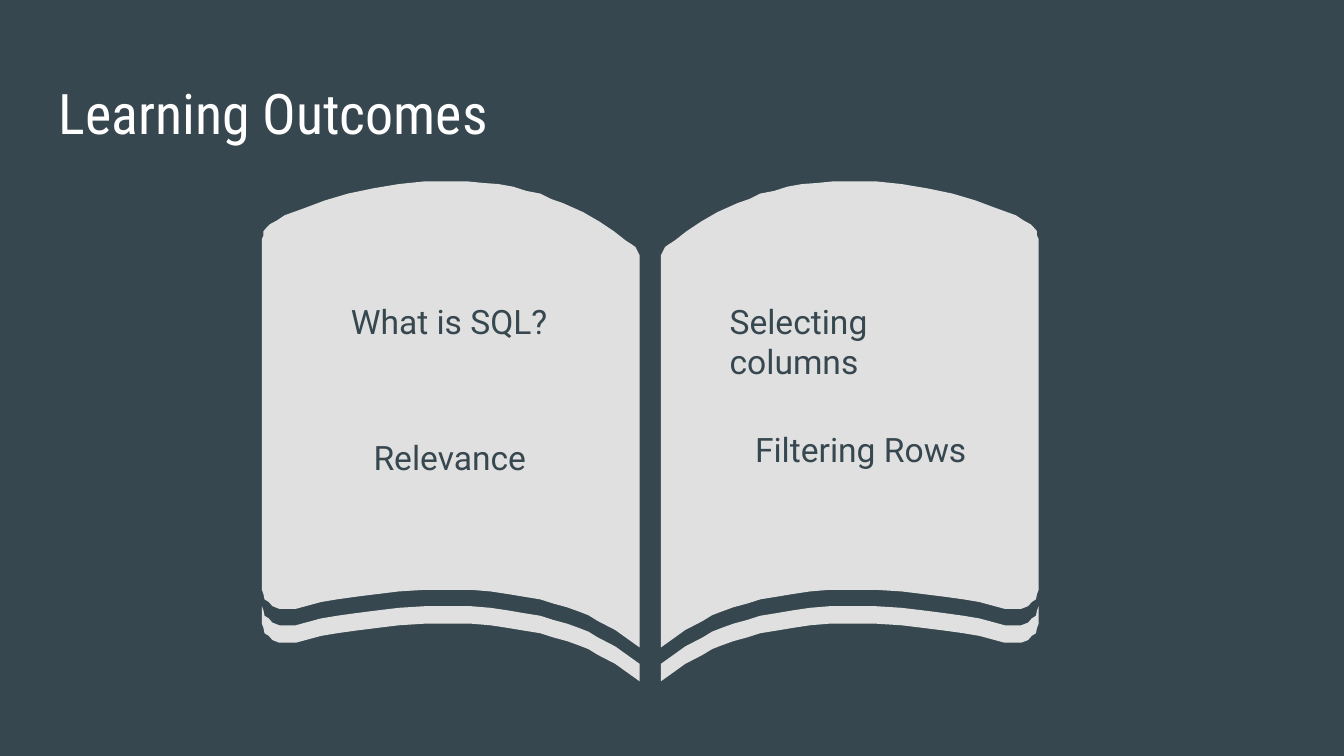
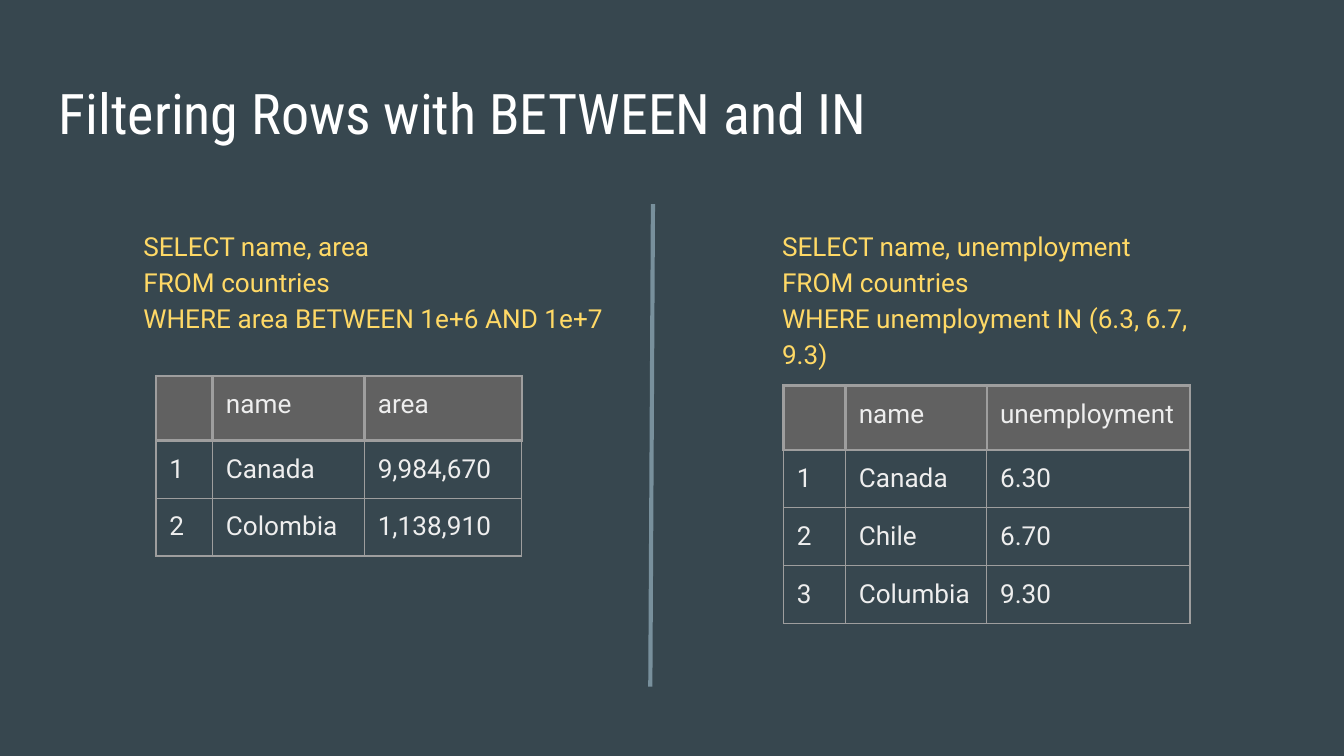
from dataclasses import dataclass

from lxml.etree import SubElement
from pptx import Presentation
from pptx.dml.color import RGBColor
from pptx.enum.shapes import MSO_CONNECTOR
from pptx.enum.text import MSO_ANCHOR, MSO_AUTO_SIZE, PP_ALIGN
from pptx.oxml.ns import qn
from pptx.util import Cm, Pt


@dataclass(frozen=True)
class Theme:
    background: str = "37474F"
    title: str = "FFFFFF"
    paper: str = "E0E0E0"
    code: str = "FFD966"
    divider: str = "78909C"
    header: str = "616161"
    border: str = "9E9E9E"
    cell: str = "EEEEEE"
    title_font: str = "Roboto Condensed"
    body_font: str = "Roboto"
    title_size: int = 30
    topic_size: int = 18
    code_size: int = 14
    inset: float = 0.25
    thick: float = 1.5
    thin: float = 0.75
    divider_width: float = 2.25


THEME = Theme()

# All positions and sizes are in centimetres.
OUTCOMES_TITLE = ("Learning Outcomes", 23.67)
TOPICS = [
    ("Selecting columns", (13.54, 5.44, 5.49, 1.32)),
    ("Filtering Rows", (14.02, 7.85, 4.52, 1.5)),
    ("What is SQL?", (6.38, 5.44, 5.49, 1.32)),
    ("Relevance", (6.81, 8.0, 4.06, 1.32)),
]

FILTER_TITLE = ("Filtering Rows with BETWEEN and IN", 18.14)
QUERIES = [
    {
        "lines": ["SELECT name, area", "FROM countries",
                  "WHERE area BETWEEN 1e+6 AND 1e+7"],
        "box": (2.46, 4.01, 9.42, 3.28),
        "table_at": (2.95, 7.11),
        "columns": [1.07, 2.87, 2.97],
        "rows": [["", "name", "area"],
                 ["1", "Canada", "9,984,670"],
                 ["2", "Colombia", "1,138,910"]],
    },
    {
        "lines": ["SELECT name, unemployment", "FROM countries",
                  "WHERE unemployment IN (6.3, 6.7, 9.3)"],
        "box": (14.53, 4.01, 9.04, 2.57),
        "table_at": (14.81, 7.29),
        "columns": [1.17, 2.67, 3.84],
        "rows": [["", "name", "unemployment"],
                 ["1", "Canada", "6.30"],
                 ["2", "Chile", "6.70"],
                 ["3", "Columbia", "9.30"]],
    },
]
HEADER_HEIGHT, ROW_HEIGHT = 1.22, 1.09
DIVIDER = (12.29, 12.98, 12.34, 3.86)

# Left page of the book, measured from its top left corner.
PAGE_LEFT, PAGE_TOP, BOOK_AXIS = 4.95, 3.43, 12.29
SHEET_OFFSETS = (0.31, 0.64)
TOP_EDGE = [  # from the spine outwards
    (7.14, 1.45), (7.14, 1.4), (7.09, 1.3), (7.06, 1.24), (6.99, 1.19),
    (6.88, 1.12), (6.65, 0.94), (6.38, 0.76), (6.07, 0.58), (5.69, 0.41),
    (5.46, 0.33), (5.26, 0.23), (5.0, 0.18), (4.75, 0.1), (4.47, 0.05),
    (4.19, 0.03), (3.89, 0), (3.58, 0), (3.07, 0), (2.59, 0.05),
    (2.11, 0.13), (1.63, 0.23), (1.19, 0.36), (0.79, 0.51), (0.43, 0.64),
    (0.28, 0.74), (0.15, 0.81), (0.1, 0.86), (0.03, 0.94), (0.03, 1.02),
    (0, 1.09),
]
BOTTOM_EDGE = [  # from the outer side to the spine
    (0, 7.72), (0.03, 7.8), (0.05, 7.9), (0.13, 7.95), (0.2, 8.03),
    (0.33, 8.08), (0.48, 8.08), (0.64, 8.08), (1.12, 7.95), (1.42, 7.9),
    (1.78, 7.85), (2.18, 7.8), (2.59, 7.75), (3.07, 7.72), (3.58, 7.72),
    (3.96, 7.72), (4.32, 7.75), (4.65, 7.8), (4.95, 7.85), (5.26, 7.9),
    (5.51, 7.98), (5.77, 8.05), (5.99, 8.13), (6.17, 8.2), (6.35, 8.31),
    (6.68, 8.48), (6.93, 8.66), (7.14, 8.81),
]


def color(value):
    return RGBColor.from_string(value)


def write(paragraph, text, font, size, text_color):
    run = paragraph.add_run()
    run.text = text
    run.font.name = font
    run.font.size = Pt(size)
    run.font.color.rgb = color(text_color)


def set_frame(frame):
    frame.word_wrap = True
    frame.auto_size = MSO_AUTO_SIZE.NONE
    frame.vertical_anchor = MSO_ANCHOR.TOP
    frame.margin_left = frame.margin_right = Cm(THEME.inset)
    frame.margin_top = frame.margin_bottom = Cm(THEME.inset)


def add_titled_slide(presentation, text, width):
    slide = presentation.slides.add_slide(presentation.slide_layouts[5])
    title = slide.shapes.title
    title.left, title.top = Cm(0.86), Cm(1.24)
    title.width, title.height = Cm(width), Cm(1.6)
    set_frame(title.text_frame)
    paragraph = title.text_frame.paragraphs[0]
    paragraph.alignment = PP_ALIGN.LEFT
    write(paragraph, text, THEME.title_font, THEME.title_size, THEME.title)
    return slide


def add_text(slide, lines, box, size, text_color, line_spacing=None):
    frame = slide.shapes.add_textbox(*map(Cm, box)).text_frame
    set_frame(frame)
    for index, line in enumerate(lines):
        paragraph = frame.add_paragraph() if index else frame.paragraphs[0]
        paragraph.line_spacing = line_spacing
        write(paragraph, line, THEME.body_font, size, text_color)


def lowered(edge, offset):
    return [(x, y + offset) for x, y in edge]


def add_book(slide):
    """Draw both pages and the sheet below them; the right half is mirrored."""
    book = slide.shapes.add_group_shape()
    upper, lower = (lowered(BOTTOM_EDGE, offset) for offset in SHEET_OFFSETS)
    for outline in (lower + upper[::-1], BOTTOM_EDGE + TOP_EDGE):
        left_half = [(PAGE_LEFT + x, PAGE_TOP + y) for x, y in outline]
        right_half = [(2 * BOOK_AXIS - x, y) for x, y in left_half]
        for half in (left_half, right_half):
            points = [(Cm(x), Cm(y)) for x, y in half]
            builder = book.shapes.build_freeform(*points[0])
            builder.add_line_segments(points[1:], close=True)
            shape = builder.convert_to_shape()
            shape.shadow.inherit = False
            shape.fill.solid()
            shape.fill.fore_color.rgb = color(THEME.paper)
            shape.line.fill.background()


def set_borders(cell, row_index):
    properties = cell._tc.get_or_add_tcPr()
    for side in ("lnL", "lnR", "lnT", "lnB"):
        thick = row_index == 0 or (row_index == 1 and side == "lnT")
        width = Pt(THEME.thick if thick else THEME.thin)
        line = SubElement(properties, qn(f"a:{side}"), w=str(width))
        fill = SubElement(line, qn("a:solidFill"))
        SubElement(fill, qn("a:srgbClr"), val=THEME.border)


def add_result_table(slide, position, columns, rows):
    heights = [HEADER_HEIGHT] + [ROW_HEIGHT] * (len(rows) - 1)
    size = (sum(columns), sum(heights))
    table = slide.shapes.add_table(
        len(rows), len(columns), *map(Cm, position + size)).table
    table.first_row = table.horz_banding = False
    for column, width in zip(table.columns, columns):
        column.width = Cm(width)
    for row_index, (row, height) in enumerate(zip(table.rows, heights)):
        row.height = Cm(height)
        for cell, text in zip(row.cells, rows[row_index]):
            cell.margin_left = cell.margin_right = Cm(THEME.inset)
            cell.margin_top = cell.margin_bottom = Cm(THEME.inset)
            set_borders(cell, row_index)
            if row_index == 0:
                cell.fill.solid()
                cell.fill.fore_color.rgb = color(THEME.header)
            else:
                cell.fill.background()
            paragraph = cell.text_frame.paragraphs[0]
            if text:
                write(paragraph, text, THEME.body_font, THEME.code_size,
                      THEME.cell)
            else:
                SubElement(paragraph._p, qn("a:endParaRPr"),
                           sz=str(THEME.code_size * 100))


def add_divider(slide):
    line = slide.shapes.add_connector(
        MSO_CONNECTOR.STRAIGHT, *map(Cm, DIVIDER))
    line.line.color.rgb = color(THEME.divider)
    line.line.width = Pt(THEME.divider_width)
    SubElement(line._element.spPr, qn("a:effectLst"))


def build_outcomes(presentation):
    slide = add_titled_slide(presentation, *OUTCOMES_TITLE)
    add_book(slide)
    for topic, box in TOPICS:
        add_text(slide, [topic], box, THEME.topic_size, THEME.background)


def build_filtering(presentation):
    slide = add_titled_slide(presentation, *FILTER_TITLE)
    add_divider(slide)
    for query in QUERIES:
        add_text(slide, query["lines"], query["box"], THEME.code_size,
                 THEME.code, line_spacing=1.15)
        add_result_table(slide, query["table_at"], query["columns"],
                         query["rows"])


def main():
    presentation = Presentation()
    presentation.slide_width, presentation.slide_height = Cm(25.4), Cm(14.29)
    background = presentation.slide_master.background.fill
    background.solid()
    background.fore_color.rgb = color(THEME.background)
    build_outcomes(presentation)
    build_filtering(presentation)
    presentation.save("out.pptx")


if __name__ == "__main__":
    main()
